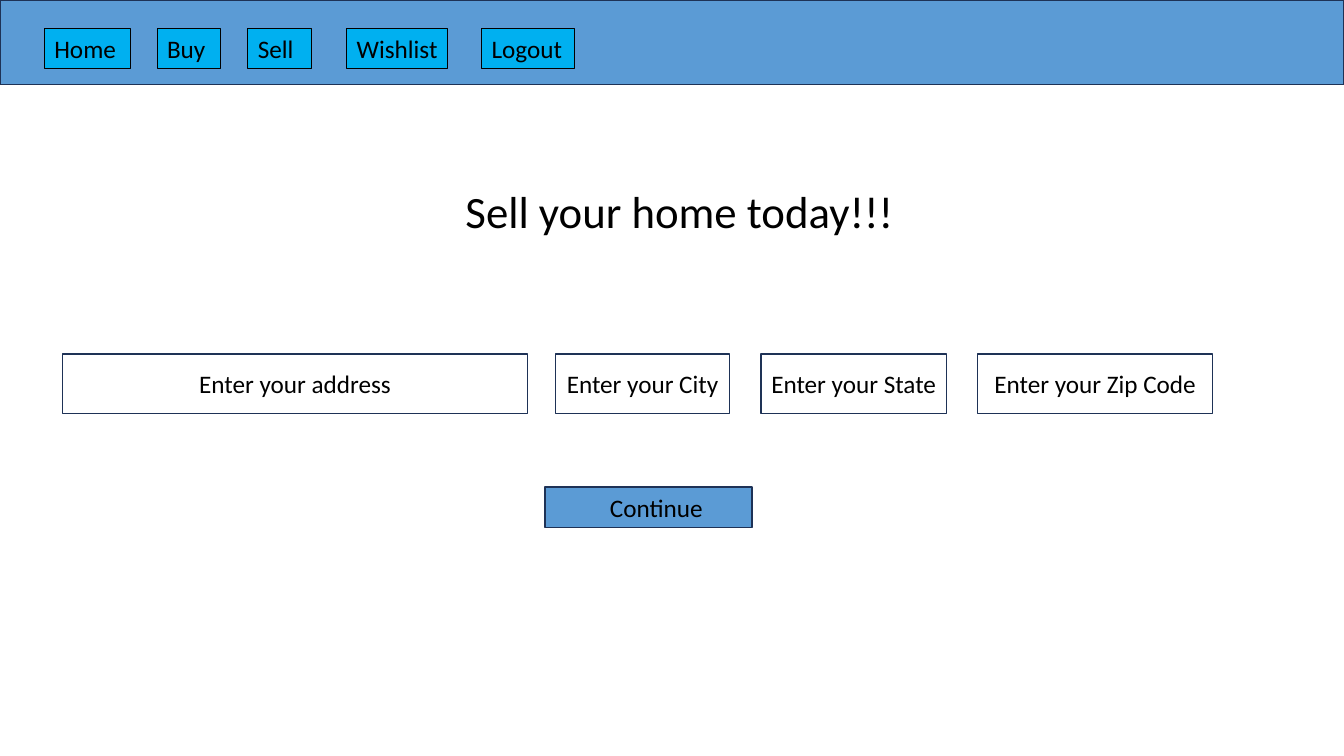
from pptx import Presentation
from pptx.dml.color import RGBColor
from pptx.enum import shapes, text
from pptx.util import Cm, Pt

HUES = {"bar": "5B9BD5", "edge": "1E3256", "nav": "00B0F0", "ink": "000000", "paper": "FFFFFF"}

deck = Presentation()
deck.slide_width, deck.slide_height = Cm(33.87), Cm(19.05)
slide = deck.slides.add_slide(deck.slide_layouts[5])


def write(shape, words, size=18, align="LEFT", anchor="TOP", left=0.25, right=0):
    frame = shape.text_frame
    frame.text = words
    frame.word_wrap = True
    frame.auto_size = text.MSO_AUTO_SIZE.NONE
    frame.vertical_anchor = text.MSO_ANCHOR[anchor]
    frame.margin_left, frame.margin_right = Cm(left), Cm(right)
    frame.margin_top = frame.margin_bottom = Cm(0.13)
    para = frame.paragraphs[0]
    para.alignment = text.PP_ALIGN[align]
    para.font.name = "Calibri"
    para.font.size = Pt(size)
    para.font.color.rgb = RGBColor.from_string(HUES["ink"])


def box(left, top, width, height, fill, edge="edge", line=1):
    shape = slide.shapes.add_shape(
        shapes.MSO_SHAPE.RECTANGLE, Cm(left), Cm(top), Cm(width), Cm(height))
    shape.shadow.inherit = False
    shape.fill.solid()
    shape.fill.fore_color.rgb = RGBColor.from_string(HUES[fill])
    shape.line.color.rgb = RGBColor.from_string(HUES[edge])
    shape.line.width = Pt(line)
    return shape


title = slide.shapes.title
title.left, title.top, title.width, title.height = Cm(11.48), Cm(4.5), Cm(11.4), Cm(1.63)
write(title, "Sell your home today!!!", size=32)

box(0, 0, 33.87, 2.13, "bar")

tabs = [("Home", 1.12, 2.16), ("Buy", 3.96, 1.6), ("Sell", 6.25, 1.6),
        ("Wishlist", 8.74, 2.54), ("Logout", 12.14, 2.34)]
for words, left, width in tabs:
    write(box(left, 0.71, width, 1.02, "nav", "ink", 0.75), words)

fields = [("Enter your address", 1.57, 11.73), ("Enter your City", 14, 4.39),
          ("Enter your State", 19.18, 4.67), ("Enter your Zip Code", 24.64, 5.92)]
for words, left, width in fields:
    write(box(left, 8.92, width, 1.5, "paper"), words,
          align="CENTER", anchor="MIDDLE", left=0.1, right=0.1)

write(box(13.74, 12.27, 5.21, 1.02, "bar"), "Continue", left=1.63)

deck.save("out.pptx")
